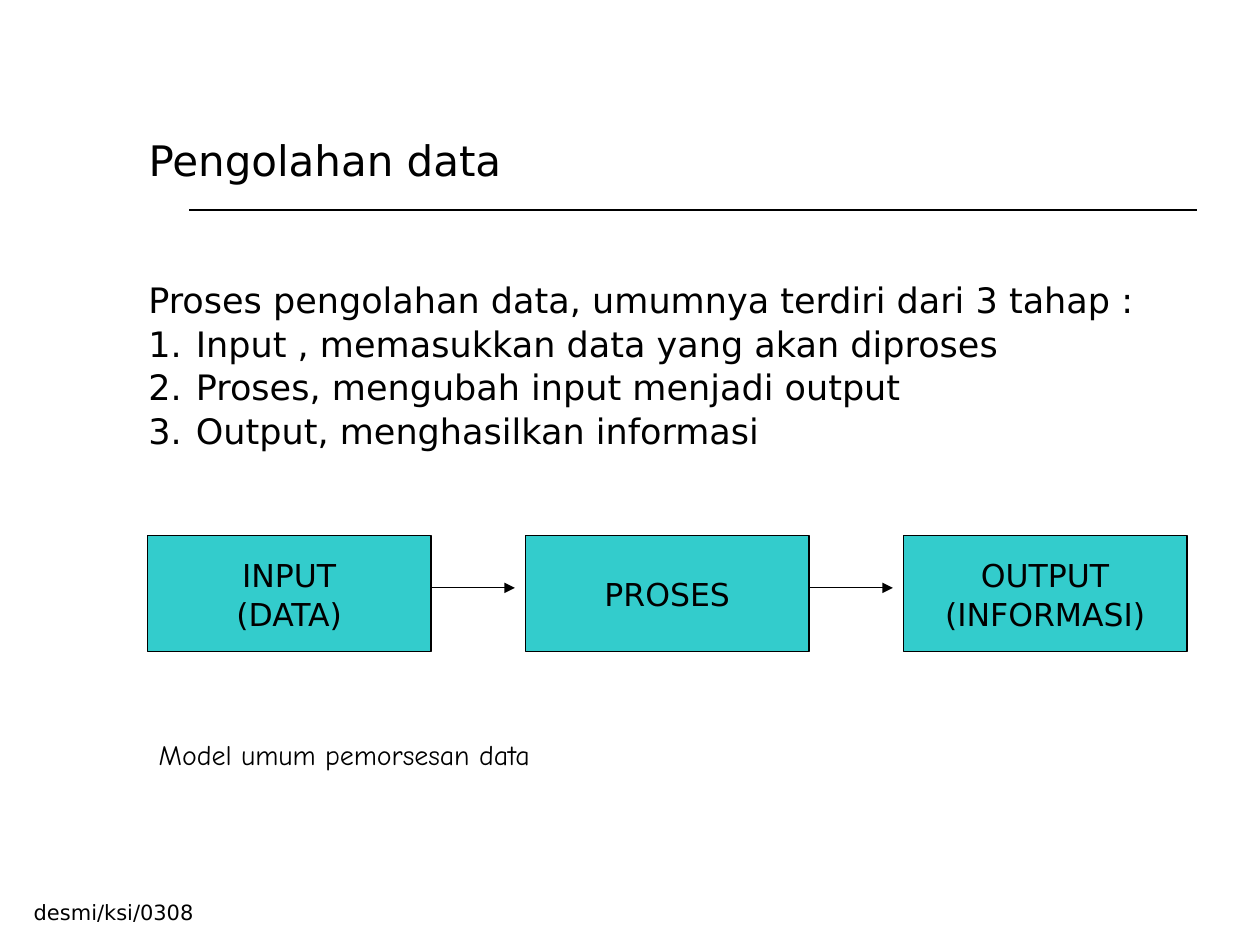
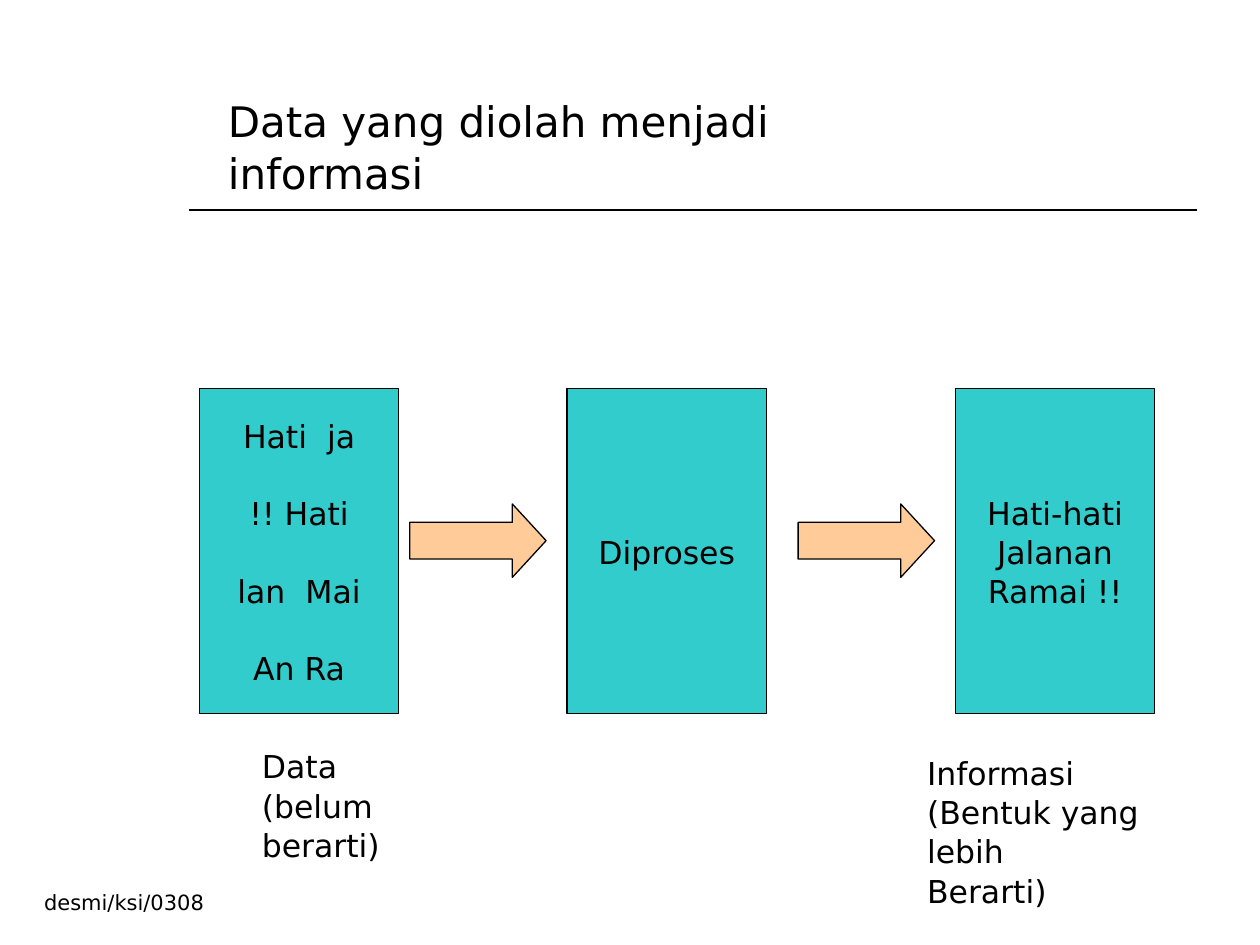
from dataclasses import dataclass

from lxml import etree
from pptx import Presentation
from pptx import util as u
from pptx.dml.color import RGBColor
from pptx.enum import shapes, text
from pptx.oxml import ns

Cm = u.Cm
LEFT, MID = text.PP_ALIGN.LEFT, text.PP_ALIGN.CENTER


@dataclass(frozen=True)
class Theme:
    ink: RGBColor = RGBColor.from_string("000000")
    card: RGBColor = RGBColor.from_string("33CCCC")
    arrow: RGBColor = RGBColor.from_string("FFCC99")
    font: str = "DejaVu Sans"
    note: str = "Comic Neue"
    title: int = 24
    body: int = 20
    label: int = 18
    small: int = 16
    foot: int = 12
    lead: float = 1.04
    thin: float = 0.75
    rule: float = 1


class Deck:
    def __init__(self, theme):
        self.theme = theme
        self.prs = Presentation()
        self.prs.slide_width, self.prs.slide_height = Cm(25.4), Cm(19.05)
        self.slide = None

    def page(self, title, area, foot):
        """Start a slide with its title, rule and footer; foot is left, top."""
        self.slide = self.prs.slides.add_slide(self.prs.slide_layouts[5])
        head = self.slide.shapes.title
        head.left, head.top, head.width, head.height = map(Cm, area)
        self.fill_text(head, [title], self.theme.title)
        self.line(3.81, 24.13, 4.23, self.theme.rule)
        self.text(["desmi/ksi/0308"], (*foot, 3.84, 0.8), self.theme.foot)

    def fill_text(self, shape, lines, size, font=None, align=LEFT, gap=0):
        frame = shape.text_frame
        frame.text = "\n".join(lines)
        frame.word_wrap = align == LEFT
        frame.auto_size = text.MSO_AUTO_SIZE.NONE
        frame.vertical_anchor = (
            text.MSO_ANCHOR.TOP if align == LEFT else text.MSO_ANCHOR.MIDDLE)
        for i, para in enumerate(frame.paragraphs):
            para.alignment = align
            para.line_spacing = self.theme.lead
            para.space_before = u.Pt(gap if i else 0)
            for run in para.runs:
                run.font.size = u.Pt(size)
                run.font.name = font or self.theme.font
                run.font.color.rgb = self.theme.ink
        return frame

    def text(self, lines, area, size, font=None):
        box = self.slide.shapes.add_textbox(*map(Cm, area))
        return self.fill_text(box, lines, size, font)

    def steps(self, intro, items, area):
        """Add an intro line followed by a numbered list."""
        frame = self.text([intro, *items], area, self.theme.body)
        for para in frame.paragraphs[1:]:
            props = para._p.get_or_add_pPr()
            props.set("marL", str(Cm(0.96)))
            props.set("indent", str(-Cm(0.96)))
            etree.SubElement(props, ns.qn("a:buAutoNum"), type="arabicPeriod")

    def shape(self, kind, area, fill):
        item = self.slide.shapes.add_shape(kind, *map(Cm, area))
        item.shadow.inherit = False
        item.fill.solid()
        item.fill.fore_color.rgb = fill
        item.line.color.rgb = self.theme.ink
        item.line.width = u.Pt(self.theme.thin)
        return item

    def card(self, lines, area, gap=0):
        box = self.shape(shapes.MSO_SHAPE.RECTANGLE, area, self.theme.card)
        self.fill_text(box, lines, self.theme.label, align=MID, gap=gap)

    def arrow(self, area):
        item = self.shape(shapes.MSO_SHAPE.RIGHT_ARROW, area, self.theme.arrow)
        item.adjustments[1] = 0.46

    def line(self, start, end, top, width, tip=False):
        line = self.slide.shapes.add_connector(
            shapes.MSO_CONNECTOR.STRAIGHT, Cm(start), Cm(top), Cm(end), Cm(top))
        line.line.color.rgb = self.theme.ink
        line.line.width = u.Pt(width)
        if tip:
            etree.SubElement(line.line._get_or_add_ln(), ns.qn("a:tailEnd"),
                             type="triangle")
        etree.SubElement(line._element.spPr, ns.qn("a:effectLst"))


def model(deck):
    deck.page("Pengolahan data", (2.74, 2.54, 21, 1.3), (0.43, 17.98))
    deck.steps("Proses pengolahan data, umumnya terdiri dari 3 tahap :",
               ["Input , memasukkan data yang akan diproses",
                "Proses, mengubah input menjadi output",
                "Output, menghasilkan informasi"], (2.74, 5.46, 21, 4))
    wide, step = 5.72, 7.62
    stages = [["INPUT", "(DATA)"], ["PROSES"], ["OUTPUT", "(INFORMASI)"]]
    for i, lines in enumerate(stages):
        left = 2.97 + i * step
        deck.card(lines, (left, 10.8, wide, 2.33))
        if i:
            start = left - step + wide
            deck.line(start, start + 1.69, 11.85, deck.theme.thin, tip=True)
    deck.text(["Model umum pemorsesan data"], (2.95, 14.72, 12, 1),
              deck.theme.small, deck.theme.note)


def sample(deck):
    deck.page("Data yang diolah menjadi informasi",
              (4.34, 1.75, 14.68, 2.3), (0.64, 17.78))
    stages = [(4.02, ["Hati  ja", "!! Hati", "lan  Mai", "An Ra"], 21.8),
              (11.43, ["Diproses"], 0),
              (19.26, ["Hati-hati", "Jalanan", "Ramai !!"], 0)]
    for left, lines, gap in stages:
        deck.card(lines, (left, 7.83, 4.02, 6.56), gap)
    for left in (8.26, 16.09):
        deck.arrow((left, 10.16, 2.75, 1.48))
    deck.text(["Data", "(belum berarti)"], (5.03, 14.91, 4.98, 2.6),
              deck.theme.label)
    deck.text(["Informasi", "(Bentuk yang lebih", "Berarti)"],
              (18.44, 15.04, 6.07, 3.3), deck.theme.label)


def main():
    deck = Deck(Theme())
    model(deck)
    sample(deck)
    deck.prs.save("out.pptx")


if __name__ == "__main__":
    main()
